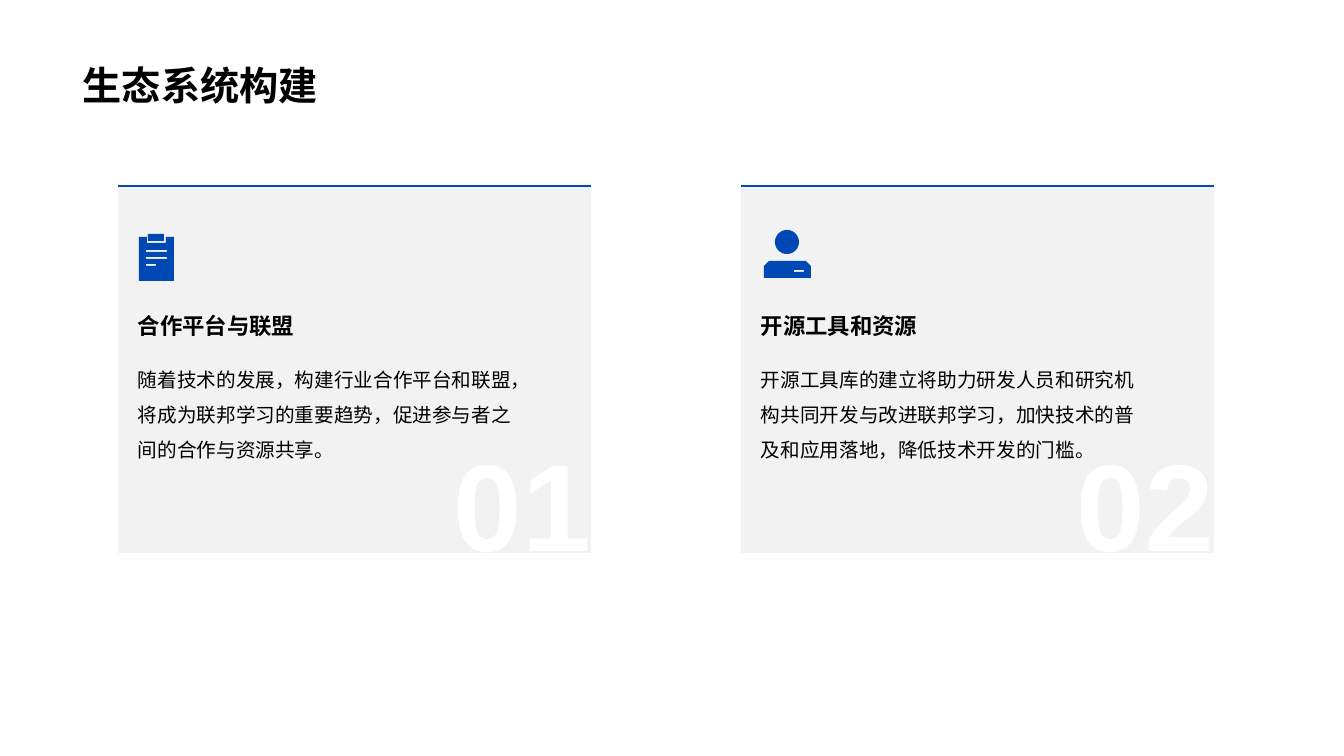
from dataclasses import dataclass
from math import cos, pi, sin

from lxml.etree import SubElement
from pptx import Presentation
from pptx.dml.color import RGBColor as Rgb
from pptx.enum.shapes import MSO_CONNECTOR as Link, MSO_SHAPE as Form
from pptx.enum.text import MSO_ANCHOR as Anchor, MSO_AUTO_SIZE as Fit
from pptx.oxml.ns import qn
from pptx.util import Pt


@dataclass(frozen=True)
class Theme:
    han: str = "Noto Sans CJK SC"
    latin: str = "Arial"
    ink: str = "000000"
    blue: str = "0048B4"
    gray: str = "808080"
    white: str = "FFFFFF"
    alpha: int = 10000
    title: int = 28
    head: int = 16
    body: int = 14
    digit: int = 88
    rule: int = 2


class Deck:
    unit = 914400 / 100.8

    def __init__(self, theme, wide, high):
        self.theme = theme
        self.prs = Presentation()
        self.prs.slide_width, self.prs.slide_height = self.emu(wide, high)
        self.slide = self.prs.slides.add_slide(self.prs.slide_layouts[6])
        self.shapes = self.slide.shapes

    def emu(self, *px):
        return [round(n * self.unit) for n in px]

    def paint(self, shape, color):
        shape.shadow.inherit = False
        shape.fill.solid()
        shape.fill.fore_color.rgb = Rgb.from_string(color)
        shape.line.fill.background()

    def panel(self, *box):
        shape = self.shapes.add_shape(Form.RECTANGLE, *self.emu(*box))
        self.paint(shape, self.theme.gray)
        tint = next(shape.fill._xPr.iter(qn("a:srgbClr")))
        SubElement(tint, qn("a:alpha"), val=str(self.theme.alpha))

    def text(self, words, box, size, face=None, color=None, bold=True,
             space=None, **frame):
        face = face or self.theme.han
        area = self.shapes.add_textbox(*self.emu(*box)).text_frame
        for key, value in {"word_wrap": True, **frame}.items():
            setattr(area, key, value)
        para = area.paragraphs[0]
        if space:
            para.line_spacing = space
        run = para.add_run()
        run.text = words
        style = {"name": face, "size": Pt(size), "bold": bold}
        for key, value in style.items():
            setattr(run.font, key, value)
        run.font.color.rgb = Rgb.from_string(color or self.theme.ink)
        SubElement(run._r.get_or_add_rPr(), qn("a:ea"), typeface=face)

    def line(self, *ends):
        link = self.shapes.add_connector(Link.STRAIGHT, *self.emu(*ends))
        link.line.color.rgb = Rgb.from_string(self.theme.blue)
        link.line.width = Pt(self.theme.rule)
        SubElement(link._element.spPr, qn("a:effectLst"))

    def icon(self, loops):
        first, *rest = [[self.emu(*spot) for spot in loop] for loop in loops]
        pen = self.shapes.build_freeform(*first[0])
        pen.add_line_segments(first[1:])
        for loop in rest:
            pen.move_to(*loop[0])
            pen.add_line_segments(loop[1:])
        self.paint(pen.convert_to_shape(), self.theme.blue)


def rect(left, top, right, base):
    return [(left, top), (right, top), (right, base), (left, base)]


def disc(x, y, size, steps=60):
    turns = [2 * pi * step / steps for step in range(steps)]
    return [(x + size * cos(turn), y + size * sin(turn)) for turn in turns]


BOARD = [
    [(147, 237), (147, 243), (166, 243), (166, 237),
     (174, 237), (174, 281), (139, 281), (139, 237)],
    rect(148, 234, 164, 241),
    rect(146, 250, 167, 252),
    rect(146, 257, 167, 259),
    rect(146, 264, 156, 266),
]
PERSON = [
    disc(787, 242, 12),
    [(769, 261), (806, 261), (811, 266), (811, 278), (764, 278), (764, 266)],
    rect(794, 270, 804, 272),
]
CARDS = [
    ("合作平台与联盟",
     "随着技术的发展，构建行业合作平台和联盟，将成为联邦学习的重要趋势，促进参与者之间的合作与资源共享。",
     BOARD),
    ("开源工具和资源",
     "开源工具库的建立将助力研发人员和研究机构共同开发与改进联邦学习，加快技术的普及和应用落地，降低技术开发的门槛。",
     PERSON),
]
LEFT, PITCH, WIDE = 118, 623, 473


def main():
    theme = Theme()
    deck = Deck(theme, 1344, 756)
    deck.text("生态系统构建", (73, 0, 1198, 113), theme.title,
              vertical_anchor=Anchor.BOTTOM)
    grow = {"auto_size": Fit.SHAPE_TO_FIT_TEXT}
    for num, (head, body, icon) in enumerate(CARDS):
        x = LEFT + num * PITCH
        deck.panel(x, 185, WIDE, 368)
        deck.text(head, (x + 10, 307, 399, 37), theme.head,
                  vertical_anchor=Anchor.MIDDLE, **grow)
        deck.text(body, (x + 10, 351, 399, 148), theme.body,
                  bold=False, space=1.5, **grow)
        deck.text(f"{num + 1:02}", (x + 326, 423, 159, 159), theme.digit,
                  theme.latin, theme.white, word_wrap=False, **grow)
        deck.line(x, 186, x + WIDE, 186)
        deck.icon(icon)
    deck.prs.save("out.pptx")


if __name__ == "__main__":
    main()
